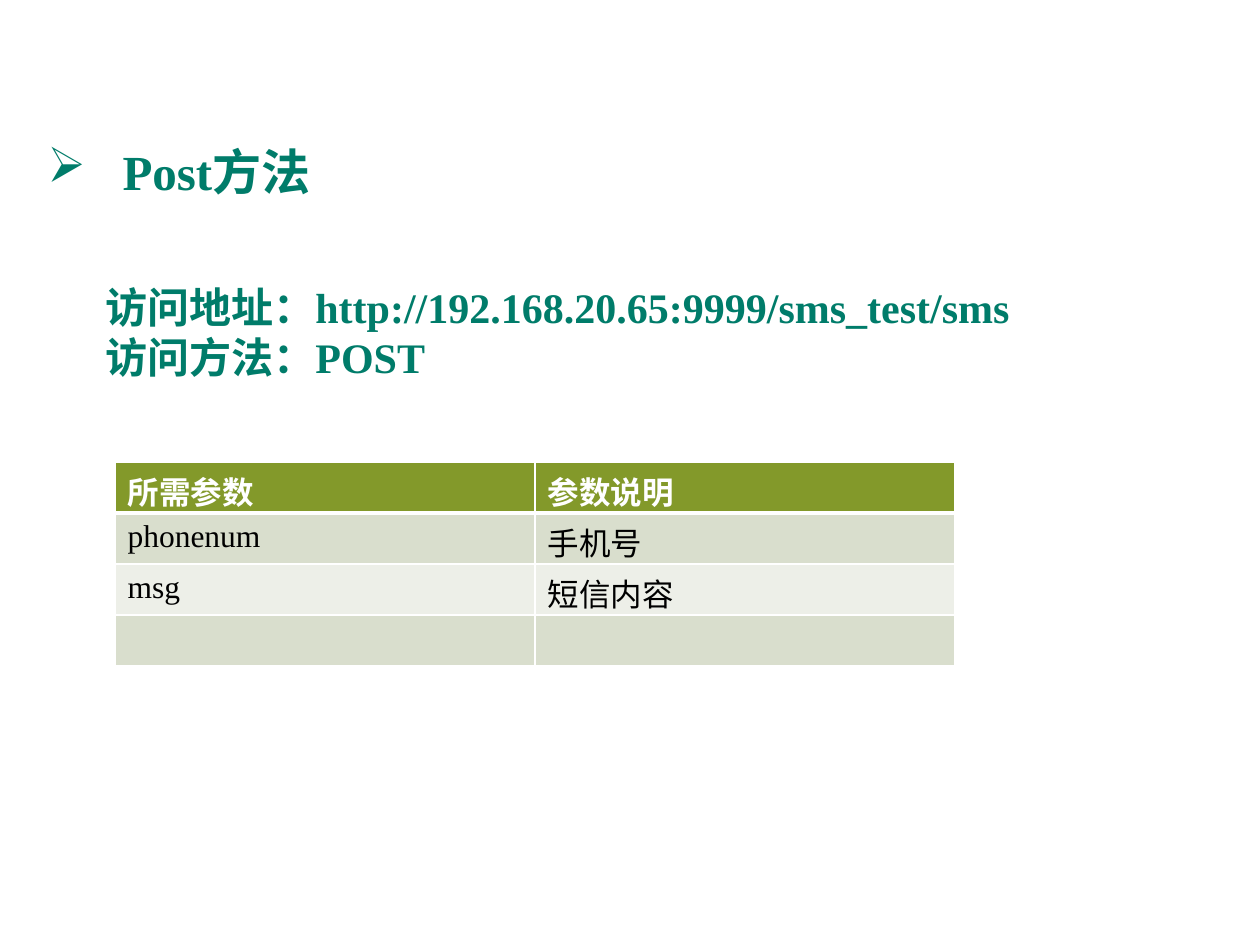
from lxml.etree import SubElement
from pptx import Presentation
from pptx.dml.color import RGBColor
from pptx.enum.text import MSO_AUTO_SIZE
from pptx.oxml.ns import qn
from pptx.util import Pt

EMU_PER_PX = 914400 / 126
FONT = "Times New Roman"
COLORS = {
    "teal": "007C6A",
    "header": "83992A",
    "band_dark": "D9DECD",
    "band_light": "EDEFE8",
    "white": "FFFFFF",
    "black": "000000",
}


def px(n):
    return round(n * EMU_PER_PX)


def rgb(name):
    return RGBColor.from_string(COLORS[name])


class SlideBuilder:
    def __init__(self, prs):
        self.s = prs.slides.add_slide(prs.slide_layouts[6])

    def run(self, p, text, size, color, bold):
        r = p.add_run()
        r.text = text
        r.font.name = FONT
        r.font.size = Pt(size)
        r.font.bold = bold
        r.font.color.rgb = rgb(color)

    def text(self, x, y, w, h, lines, size, wrap=True, bullet=None):
        sp = self.s.shapes.add_textbox(px(x), px(y), px(w), px(h))
        tf = sp.text_frame
        tf.word_wrap = wrap
        tf.auto_size = MSO_AUTO_SIZE.SHAPE_TO_FIT_TEXT
        for i, line in enumerate(lines):
            p = tf.paragraphs[0] if i == 0 else tf.add_paragraph()
            if bullet:
                self.bullet(p, bullet, 63)
            self.run(p, line, size, "teal", True)

    def bullet(self, p, char, indent):
        """Hang the paragraph by indent px behind a bullet character."""
        pPr = p._p.get_or_add_pPr()
        pPr.set("marL", str(px(indent)))
        pPr.set("indent", str(-px(indent)))
        SubElement(pPr, qn("a:buChar"), char=char)

    def borders(self, cell, top, bottom):
        """Draw white cell edges; top and bottom are widths in points."""
        tcPr = cell._tc.get_or_add_tcPr()
        for side, width in (("L", 1), ("R", 1), ("T", top), ("B", bottom)):
            ln = SubElement(tcPr, qn(f"a:ln{side}"), w=str(Pt(width)))
            fill = SubElement(ln, qn("a:solidFill"))
            SubElement(fill, qn("a:srgbClr"), val=COLORS["white"])

    def table(self, x, y, col_w, row_h, rows, size):
        n_rows, n_cols = len(rows), len(rows[0])
        frame = self.s.shapes.add_table(
            n_rows, n_cols, px(x), px(y), px(col_w * n_cols), px(row_h * n_rows))
        for i, row in enumerate(rows):
            header = i == 0
            band = "header" if header else ("band_light", "band_dark")[i % 2]
            for j, text in enumerate(row):
                cell = frame.table.cell(i, j)
                self.borders(cell, 3 if i == 1 else 1, 3 if header else 1)
                cell.fill.solid()
                cell.fill.fore_color.rgb = rgb(band)
                if text:
                    color = "white" if header else "black"
                    self.run(cell.text_frame.paragraphs[0], text, size, color, header)


def main():
    prs = Presentation()
    prs.slide_width, prs.slide_height = px(1260), px(945)
    s = SlideBuilder(prs)
    s.text(35, 135, 1160, 72, [" Post方法"], 28, bullet="➢")
    s.table(115, 462, 420, 51, [
        ("所需参数", "参数说明"),
        ("phonenum", "手机号"),
        ("msg", "短信内容"),
        ("", ""),
    ], 18)
    s.text(93, 275, 966, 115, [
        "访问地址：http://192.168.20.65:9999/sms_test/sms",
        "访问方法：POST",
    ], 24, wrap=False)
    prs.save("out.pptx")


if __name__ == "__main__":
    main()
